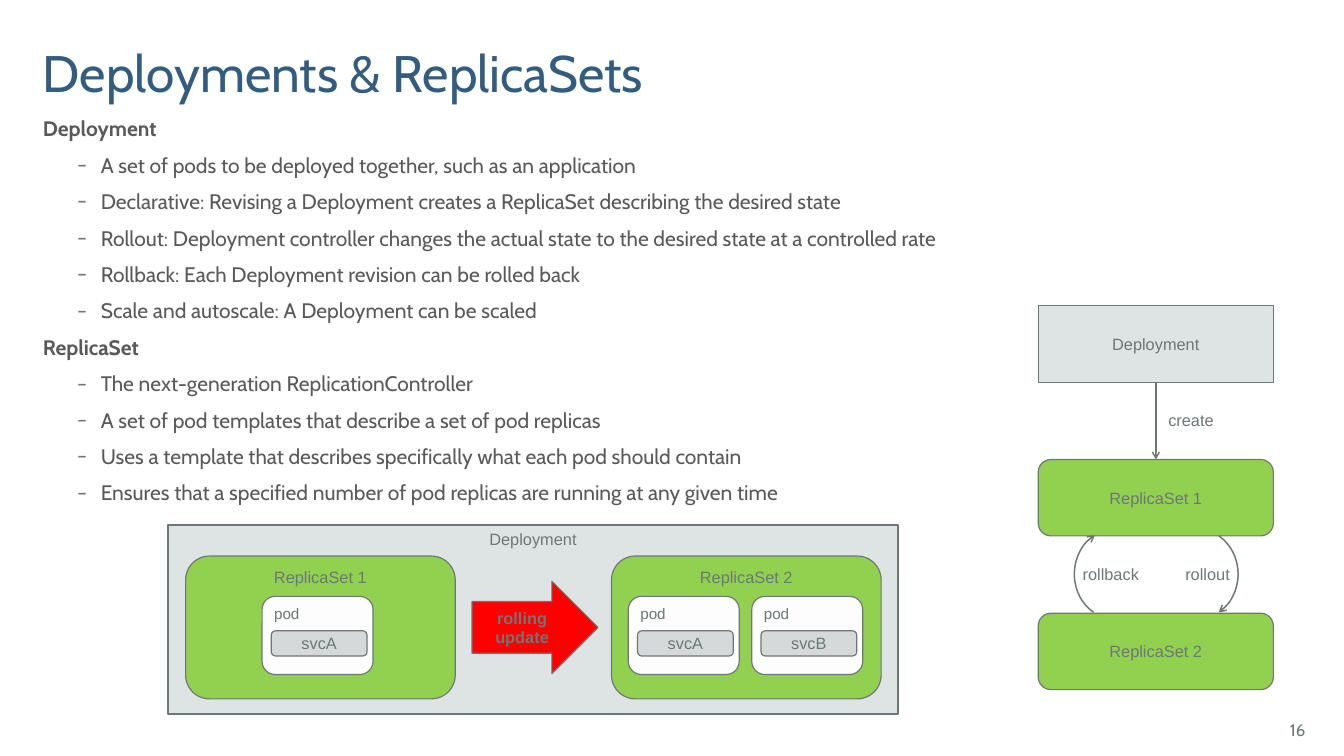
from lxml import etree
from pptx import Presentation
from pptx import util as u
from pptx.dml.color import RGBColor
from pptx.enum import shapes, text
from pptx.oxml import ns

COLORS = {
    "title": "325C80", "body": "595959", "gray": "6D7777", "panel": "DEE4E4",
    "replica": "92D050", "pod": "FDFDFD", "service": "D5D9D9", "update": "FF0000",
}
KIND = shapes.MSO_SHAPE
ALIGN = text.PP_ALIGN
ANCHOR = text.MSO_ANCHOR
LABEL = {"size": u.Pt(14), "name": "Arial"}
CONTENT = {
    "Deployment": [
        "A set of pods to be deployed together, such as an application",
        "Declarative: Revising a Deployment creates a ReplicaSet describing the desired state",
        "Rollout: Deployment controller changes the actual state to the desired state at a controlled rate",
        "Rollback: Each Deployment revision can be rolled back",
        "Scale and autoscale: A Deployment can be scaled",
    ],
    "ReplicaSet": [
        "The next-generation ReplicationController",
        "A set of pod templates that describe a set of pod replicas",
        "Uses a template that describes specifically what each pod should contain",
        "Ensures that a specified number of pod replicas are running at any given time",
    ],
}


def assign(target, values):
    """Set every attribute named in values on target."""
    for name, value in values.items():
        setattr(target, name, value)


def rgb(name):
    """Return a palette colour."""
    return RGBColor.from_string(COLORS[name])


def inches(*lengths):
    """Convert lengths to Inches."""
    return [u.Inches(length) for length in lengths]


def write(para, words, color="gray", align=ALIGN.LEFT, **font):
    """Put one formatted span into a paragraph."""
    para.alignment = align
    span = para.add_run()
    span.text = words
    assign(span.font, {**LABEL, **font})
    span.font.color.rgb = rgb(color)


def add_text(parent, place, words, align=ALIGN.LEFT, frame=None, **font):
    """Add a text box holding one paragraph."""
    box = parent.add_textbox(*inches(*place))
    assign(box.text_frame, {"word_wrap": True, **(frame or {})})
    write(box.text_frame.paragraphs[0], words, align=align, **font)


def add_box(parent, kind, place, words, fill=None, align=ALIGN.CENTER,
            anchor=ANCHOR.MIDDLE, wrap=False, width=1, **font):
    """Add an outlined, labelled shape."""
    box = parent.add_shape(kind, *inches(*place))
    box.shadow.inherit = False
    if fill:
        box.fill.solid()
        box.fill.fore_color.rgb = rgb(fill)
    else:
        box.fill.background()
    box.line.color.rgb = rgb("gray")
    box.line.width = u.Pt(width)
    assign(box.text_frame, {"word_wrap": wrap, "vertical_anchor": anchor})
    write(box.text_frame.paragraphs[0], words, align=align, **font)
    return box


def add_arrowhead(line):
    """Put an open arrowhead at the end of a line."""
    etree.SubElement(line.get_or_change_to_ln() if hasattr(line, "get_or_change_to_ln")
                     else line._get_or_add_ln(), ns.qn("a:tailEnd"), type="arrow")


def add_arc(parent, left, words, align, angles):
    """Add a labelled arc that ends in an arrowhead."""
    arc = add_box(parent, KIND.ARC, (left, 6.3, 0.97, 1.07), words, align=align, width=1.25)
    for index, angle in enumerate(angles):
        arc.adjustments[index] = angle
    add_arrowhead(arc.line)


def add_arrow(parent, start, end):
    """Join the bottom of one box to the top of another."""
    arrow = parent.add_connector(shapes.MSO_CONNECTOR.STRAIGHT, start.left + start.width // 2,
                                 start.top + start.height, end.left + end.width // 2, end.top)
    arrow.begin_connect(start, 2)
    arrow.end_connect(end, 0)
    arrow.line.color.rgb = rgb("gray")
    arrow.line.width = u.Pt(1.25)
    add_arrowhead(arrow.line)
    etree.SubElement(arrow._element.spPr, ns.qn("a:effectLst"))


def add_bullet(para):
    """Give a paragraph an indented dash bullet."""
    props = para._p.get_or_add_pPr()
    for name, value in {"lvl": 1, "marL": u.Inches(0.69), "indent": u.Inches(-0.28)}.items():
        props.set(name, str(int(value)))
    color = etree.SubElement(props, ns.qn("a:buClr"))
    etree.SubElement(color, ns.qn("a:srgbClr"), val=COLORS["gray"])
    etree.SubElement(props, ns.qn("a:buSzPct"), val="90000")
    etree.SubElement(props, ns.qn("a:buFont"), typeface="Cabin")
    etree.SubElement(props, ns.qn("a:buChar"), char="–")


def add_title(page):
    """Place and format the title."""
    title = page.shapes.title
    assign(title, dict(zip(("left", "top", "width", "height"), inches(0.51, 0.08, 14.29, 1.15))))
    assign(title.text_frame, {
        "margin_left": 0, "margin_bottom": 0, "word_wrap": True,
        "vertical_anchor": ANCHOR.BOTTOM, "auto_size": text.MSO_AUTO_SIZE.NONE})
    para = title.text_frame.paragraphs[0]
    para.line_spacing = 0.85
    write(para, "Deployments & ReplicaSets", "title", size=u.Pt(44), name="Cabin")


def add_content(page):
    """Add the two headed bullet lists."""
    box = page.shapes.add_textbox(*inches(0.51, 1.33, 11.84, 4.8))
    frame = box.text_frame
    assign(frame, {"word_wrap": True, "margin_left": 0})
    lines = [(line, line == heading) for heading, points in CONTENT.items()
             for line in (heading, *points)]
    for index, (line, is_heading) in enumerate(lines):
        para = frame.add_paragraph() if index else frame.paragraphs[0]
        para.space_before = u.Pt(9.6)
        write(para, line, "body", size=u.Pt(18), name="Cabin", bold=is_heading)
        if not is_heading:
            add_bullet(para)


def add_replica_set(parent, left, words, pods):
    """Add a ReplicaSet with its pods, given as offset and service."""
    add_box(parent, KIND.ROUNDED_RECTANGLE, (left, 6.62, 3.21, 1.7), words, "replica",
            anchor=ANCHOR.TOP)
    for offset, service in pods:
        pod = left + offset
        add_box(parent, KIND.ROUNDED_RECTANGLE, (pod, 7.1, 1.32, 0.93), "pod", "pod",
                ALIGN.LEFT, ANCHOR.TOP, size=u.Pt(13))
        add_box(parent, KIND.ROUNDED_RECTANGLE, (pod + 0.11, 7.51, 1.14, 0.3), service, "service")


def add_update_diagram(page):
    """Draw the rolling update inside a Deployment."""
    group = page.shapes.add_group_shape().shapes
    add_box(group, KIND.RECTANGLE, (2, 6.25, 8.69, 2.25), "Deployment", "panel",
            anchor=ANCHOR.TOP)
    add_replica_set(group, 2.21, "ReplicaSet 1", [(0.91, "svcA")])
    add_replica_set(group, 7.28, "ReplicaSet 2", [(0.2, "svcA"), (1.67, "svcB")])
    arrow = add_box(group, KIND.RIGHT_ARROW, (5.62, 6.92, 1.5, 1.1), "rolling update",
                    "update", wrap=True, bold=True)
    arrow.adjustments[0] = 0.56


def add_flow_diagram(page):
    """Draw the create, rollout and rollback flow."""
    group = page.shapes.add_group_shape().shapes
    steps = [(KIND.RECTANGLE, "Deployment", "panel"),
             (KIND.ROUNDED_RECTANGLE, "ReplicaSet 1", "replica"),
             (KIND.ROUNDED_RECTANGLE, "ReplicaSet 2", "replica")]
    boxes = [add_box(group, kind, (12.36, 3.64 + 1.83 * row, 2.8, 0.91), words, fill)
             for row, (kind, words, fill) in enumerate(steps)]
    add_arc(group, 13.77, "rollout", ALIGN.RIGHT, (179.5, 36.53))
    add_arc(group, 12.79, "rollback", ALIGN.LEFT, (71.66, 145.61))
    add_arrow(group, boxes[0], boxes[1])
    add_text(group, (13.81, 4.83, 1.23, 0.34), "create",
             frame={"auto_size": text.MSO_AUTO_SIZE.SHAPE_TO_FIT_TEXT})


def main():
    """Build and save the slide."""
    deck = Presentation()
    assign(deck, {"slide_width": u.Inches(16), "slide_height": u.Inches(9)})
    page = deck.slides.add_slide(deck.slide_layouts[5])
    add_title(page)
    add_text(page.shapes, (14.94, 8.45, 0.7, 0.48), "16", ALIGN.RIGHT,
             {"vertical_anchor": ANCHOR.MIDDLE}, size=u.Pt(14.4), name="Cabin")
    add_content(page)
    add_update_diagram(page)
    add_flow_diagram(page)
    deck.save("out.pptx")


if __name__ == "__main__":
    main()
